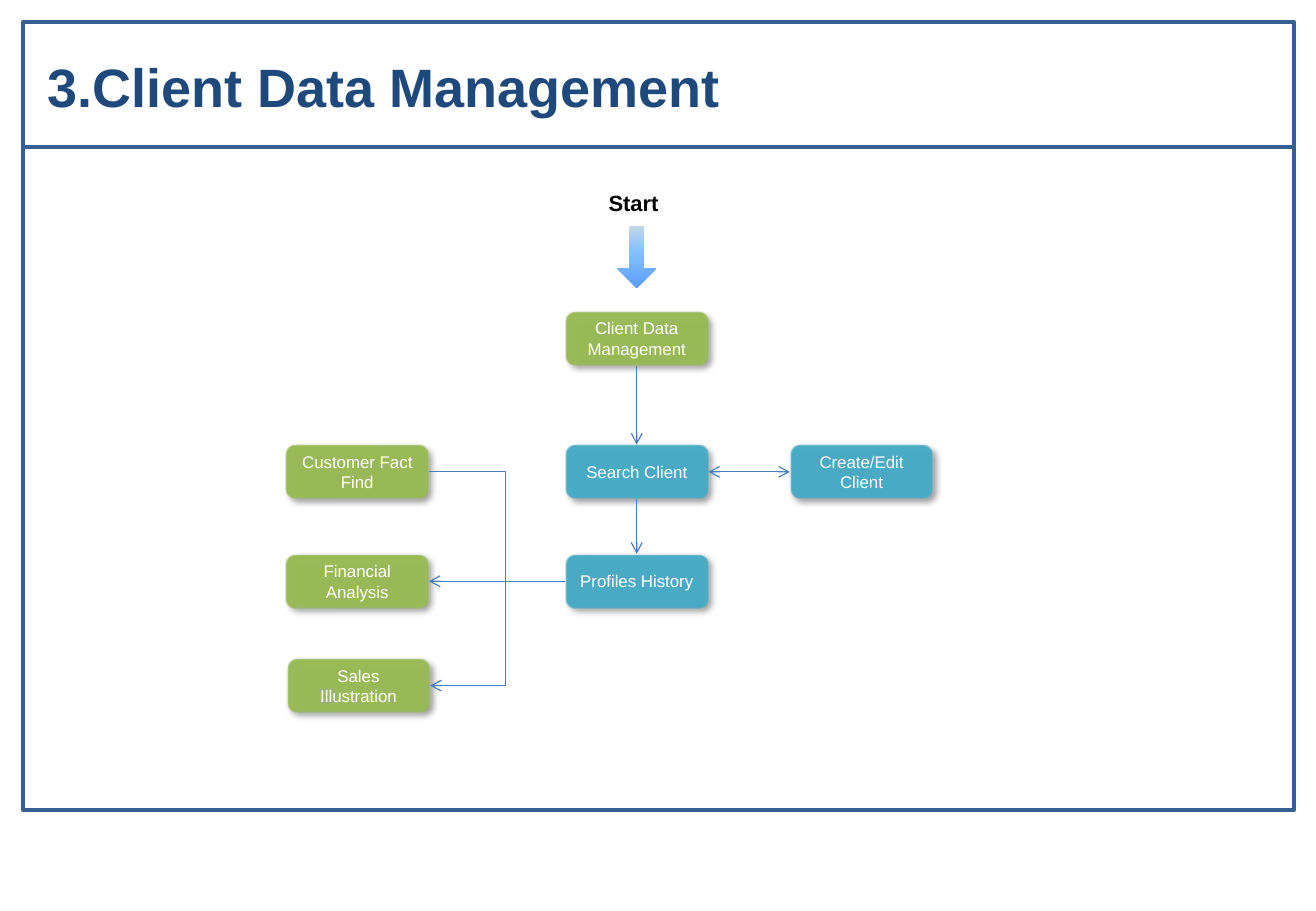
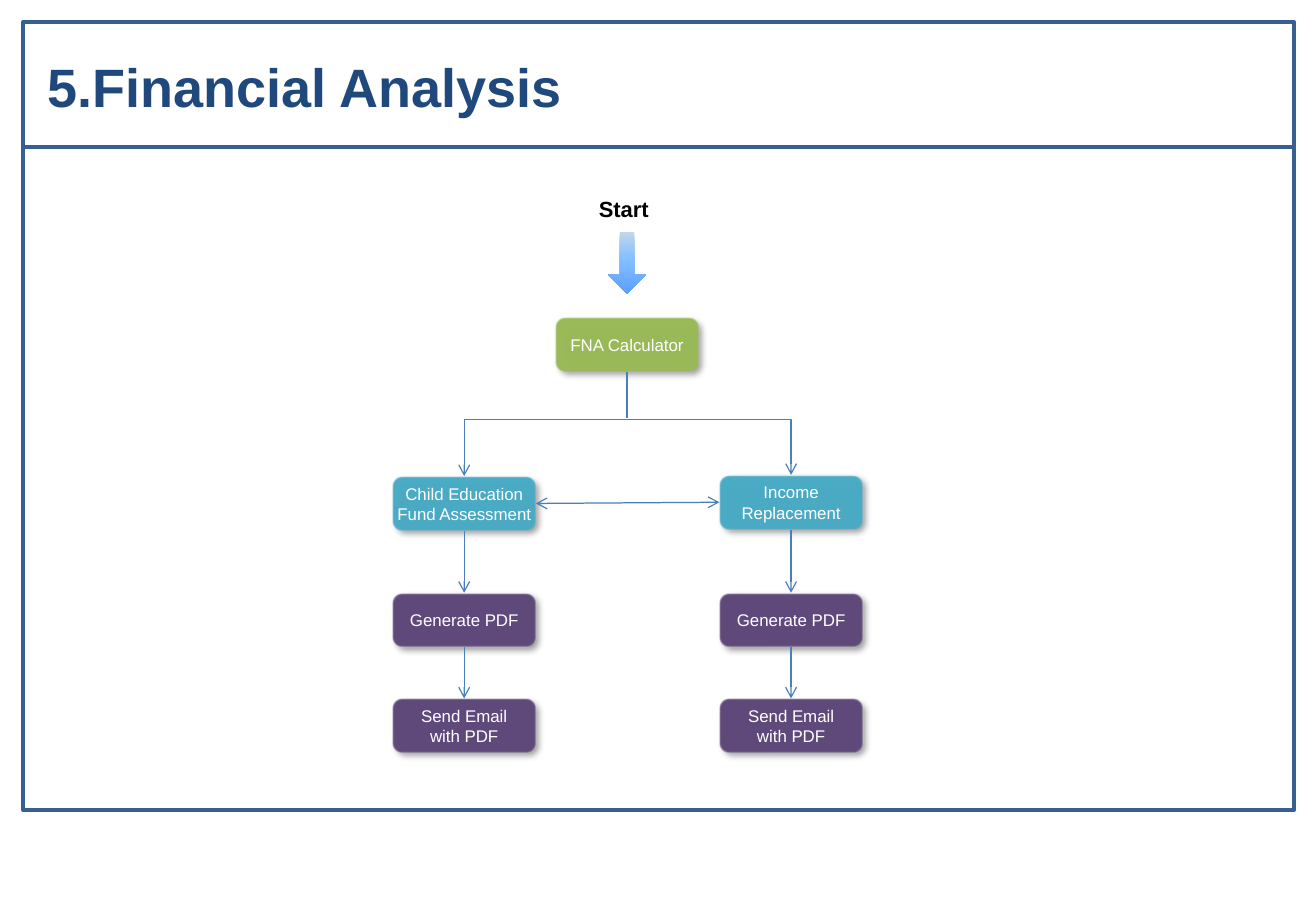
import pptx
import pptx.util
import pptx.dml.color
import pptx.enum.dml
import pptx.enum.shapes
import pptx.enum.text
import pptx.oxml
import pptx.oxml.ns
from lxml import etree

Inches, Pt = pptx.util.Inches, pptx.util.Pt
SHAPES = pptx.enum.shapes.MSO_SHAPE
CONNECTORS = pptx.enum.shapes.MSO_CONNECTOR
ANCHORS = pptx.enum.text.MSO_ANCHOR
qn = pptx.oxml.ns.qn

# Shared look
FONT = "Arial"
FRAME, TITLE, LINK, WHITE, BLACK = "376092", "1F497D", "4B7EBC", "FFFFFF", "000000"
GREEN, TEAL, PURPLE = "9BBB59", "4BACC6", "604A7B"
ARROW_STOPS = [(0, "C4D6EB"), (40, "85C2FF"), (100, "5E9EFF")]
BOX_WIDTH, BOX_HEIGHT = 1.18, 0.45
TOP, LEFT, BOTTOM, RIGHT = range(4)  # connection sites of a rounded box
BOX_EFFECTS = (
    f'<a:effectLst {pptx.oxml.ns.nsdecls("a")}>'
    '<a:outerShdw blurRad="50800" dist="38100" dir="2700000" algn="tl" rotWithShape="0">'
    '<a:srgbClr val="000000"><a:alpha val="40000"/></a:srgbClr></a:outerShdw>'
    '<a:softEdge rad="12700"/></a:effectLst>'
)

# Content. Boxes: key: (text, left, top, colour, side inset)
# Links: (from, site, to, site, arrowheads), or a point in place of "to"
# Elbows: (from, site, to, site, arrowheads, lane where the line runs across)
# The two ends of an elbow differ by 0.01 so that its lane can be a ratio.
SLIDES = [
    {
        "title": "3.Client Data Management",
        "start": (4.91, 1.51),
        "boxes": {
            "management": ("Client Data Management", 4.65, 2.56, GREEN, 0.1),
            "search": ("Search Client", 4.65, 3.66, TEAL, 0.1),
            "edit": ("Create/Edit Client", 6.5, 3.66, TEAL, 0.1),
            "profiles": ("Profiles History", 4.65, 4.56, TEAL, 0.1),
            "facts": ("Customer Fact Find", 2.35, 3.66, GREEN, 0.1),
            "analysis": ("Financial Analysis", 2.35, 4.56, GREEN, 0.1),
            "sales": ("Sales Illustration", 2.36, 5.42, GREEN, 0.1),
        },
        "links": [
            ("management", BOTTOM, "search", TOP, ["tail"]),
            ("search", RIGHT, "edit", LEFT, ["head", "tail"]),
            ("search", BOTTOM, "profiles", TOP, ["tail"]),
            ("profiles", LEFT, "analysis", RIGHT, ["tail"]),
        ],
        "elbows": [("facts", RIGHT, "sales", RIGHT, ["tail"], 4.17)],
    },
    {
        "title": "5.Financial Analysis",
        "start": (4.83, 1.56),
        "boxes": {
            "calculator": ("FNA Calculator", 4.57, 2.61, GREEN, 0.1),
            "education": ("Child Education Fund Assessment", 3.23, 3.92, TEAL, 0),
            "income": ("Income Replacement", 5.92, 3.91, TEAL, 0),
            "education pdf": ("Generate PDF", 3.23, 4.88, PURPLE, 0.04),
            "income pdf": ("Generate PDF", 5.92, 4.88, PURPLE, 0.04),
            "education email": ("Send Email with PDF", 3.23, 5.75, PURPLE, 0.1),
            "income email": ("Send Email with PDF", 5.92, 5.75, PURPLE, 0.1),
        },
        "links": [
            ("calculator", BOTTOM, (5.16, 3.44), None, []),
            ("education", RIGHT, "income", LEFT, ["head", "tail"]),
            ("education", BOTTOM, "education pdf", TOP, ["tail"]),
            ("education pdf", BOTTOM, "education email", TOP, ["tail"]),
            ("income", BOTTOM, "income pdf", TOP, ["tail"]),
            ("income pdf", BOTTOM, "income email", TOP, ["tail"]),
        ],
        "elbows": [("education", TOP, "income", TOP, ["head", "tail"], 3.45)],
    },
]


def color(value):
    return pptx.dml.color.RGBColor.from_string(value)


def set_text(shape, text, size, text_color, bold=False, align=None,
             anchor=ANCHORS.TOP, inset=0.1):
    frame = shape.text_frame
    frame.text = text
    frame.word_wrap = True
    frame.vertical_anchor = anchor
    frame.margin_left = frame.margin_right = Inches(inset)
    frame.margin_top = frame.margin_bottom = Inches(0.05)
    para = frame.paragraphs[0]
    para.alignment = align or pptx.enum.text.PP_ALIGN.LEFT
    font = para.runs[0].font
    font.name, font.size, font.bold = FONT, Pt(size), bold
    font.color.rgb = color(text_color)


def style_line(line, line_color, width):
    line.color.rgb = color(line_color)
    line.width = Pt(width)


def add_shape(page, kind, left, top, width, height, fill):
    shape = page.shapes.add_shape(kind, *map(Inches, (left, top, width, height)))
    shape.shadow.inherit = False
    shape.fill.solid()
    shape.fill.fore_color.rgb = color(fill)
    return shape


def add_connector(page, kind, begin, end, line_color, width, heads=()):
    line = page.shapes.add_connector(kind, *map(Inches, begin + end))
    style_line(line.line, line_color, width)
    properties = line._element.spPr
    outline = properties.find(qn("a:ln"))
    for head in heads:
        etree.SubElement(outline, qn(f"a:{head}End"), type="arrow")
    etree.SubElement(properties, qn("a:effectLst"))
    return line


def add_frame(page, layout):
    """Draw the border and title rule, then move them to the layout."""
    border = add_shape(page, SHAPES.RECTANGLE, 0.19, 0.18, 10.46, 6.49, WHITE)
    style_line(border.line, FRAME, 2)
    rule = add_connector(page, CONNECTORS.STRAIGHT, (0.19, 1.21), (10.65, 1.21), FRAME, 2.25)
    for position, part in enumerate((border, rule), start=2):
        layout.shapes._spTree.insert(position, part._element)


def add_title(page, text):
    title = page.shapes.title
    title.left, title.top, title.width, title.height = map(Inches, (0.29, 0.39, 9.9, 0.64))
    set_text(title, text, 32, TITLE, bold=True)
    title.text_frame.auto_size = pptx.enum.text.MSO_AUTO_SIZE.NONE


def add_start(page, left, top):
    label = page.shapes.add_textbox(*map(Inches, (left, top, 0.76, 0.32)))
    set_text(label, "Start", 13, BLACK, bold=True)
    arrow = add_shape(page, SHAPES.DOWN_ARROW, left + 0.17, top + 0.35, 0.32, 0.51, WHITE)
    arrow.adjustments[0], arrow.adjustments[1] = 0.37, 0.5
    arrow.line.fill.background()
    arrow.fill.gradient()
    arrow.fill.gradient_angle = 270
    stops = arrow._element.spPr.find(qn("a:gradFill")).find(qn("a:gsLst"))
    for stop in list(stops):
        stops.remove(stop)
    for percent, value in ARROW_STOPS:
        stop = etree.SubElement(stops, qn("a:gs"), pos=str(percent * 1000))
        etree.SubElement(stop, qn("a:srgbClr"), val=value)


def add_box(page, text, left, top, fill, inset):
    box = add_shape(page, SHAPES.ROUNDED_RECTANGLE, left, top, BOX_WIDTH, BOX_HEIGHT, fill)
    style_line(box.line, WHITE, 0.75)
    properties = box._element.spPr
    properties.replace(properties.find(qn("a:effectLst")), pptx.oxml.parse_xml(BOX_EFFECTS))
    set_text(box, text, 10, WHITE, align=pptx.enum.text.PP_ALIGN.CENTER,
             anchor=ANCHORS.MIDDLE, inset=inset)
    return box


def add_link(page, boxes, source, source_site, target, target_site, heads,
             kind=CONNECTORS.STRAIGHT):
    end = target if isinstance(target, tuple) else (0, 0)
    link = add_connector(page, kind, (0, 0), end, LINK, 0.75, heads)
    link.begin_connect(boxes[source], source_site)
    if target in boxes:
        link.end_connect(boxes[target], target_site)
    return link


def add_elbow(page, boxes, source, source_site, target, target_site, heads, lane):
    link = add_link(page, boxes, source, source_site, target, target_site, heads,
                    CONNECTORS.ELBOW)
    if source_site == TOP:
        ratio = (Inches(lane) - link.begin_y) / (link.end_y - link.begin_y)
        # A quarter turn about the centre swaps width and height
        middle_x, middle_y = link.left + link.width // 2, link.top + link.height // 2
        link.width, link.height = link.height, link.width
        link.left, link.top = middle_x - link.width // 2, middle_y - link.height // 2
        transform = link._element.spPr.find(qn("a:xfrm"))
        for name, value in (("rot", "5400000"), ("flipH", "1"), ("flipV", "1")):
            transform.set(name, value)
    else:
        ratio = (Inches(lane) - link.begin_x) / (link.end_x - link.begin_x)
    guides = link._element.spPr.find(qn("a:prstGeom")).find(qn("a:avLst"))
    etree.SubElement(guides, qn("a:gd"), name="adj1", fmla=f"val {round(ratio * 100000)}")


def main():
    deck = pptx.Presentation()
    deck.slide_width, deck.slide_height = Inches(10.83), Inches(7.5)
    layout = deck.slide_layouts.get_by_name("Title Only")
    for number, content in enumerate(SLIDES):
        page = deck.slides.add_slide(layout)
        if number == 0:
            add_frame(page, layout)
        add_title(page, content["title"])
        add_start(page, *content["start"])
        boxes = {key: add_box(page, *box) for key, box in content["boxes"].items()}
        for link in content["links"]:
            add_link(page, boxes, *link)
        for elbow in content["elbows"]:
            add_elbow(page, boxes, *elbow)
    deck.save("out.pptx")


if __name__ == "__main__":
    main()
